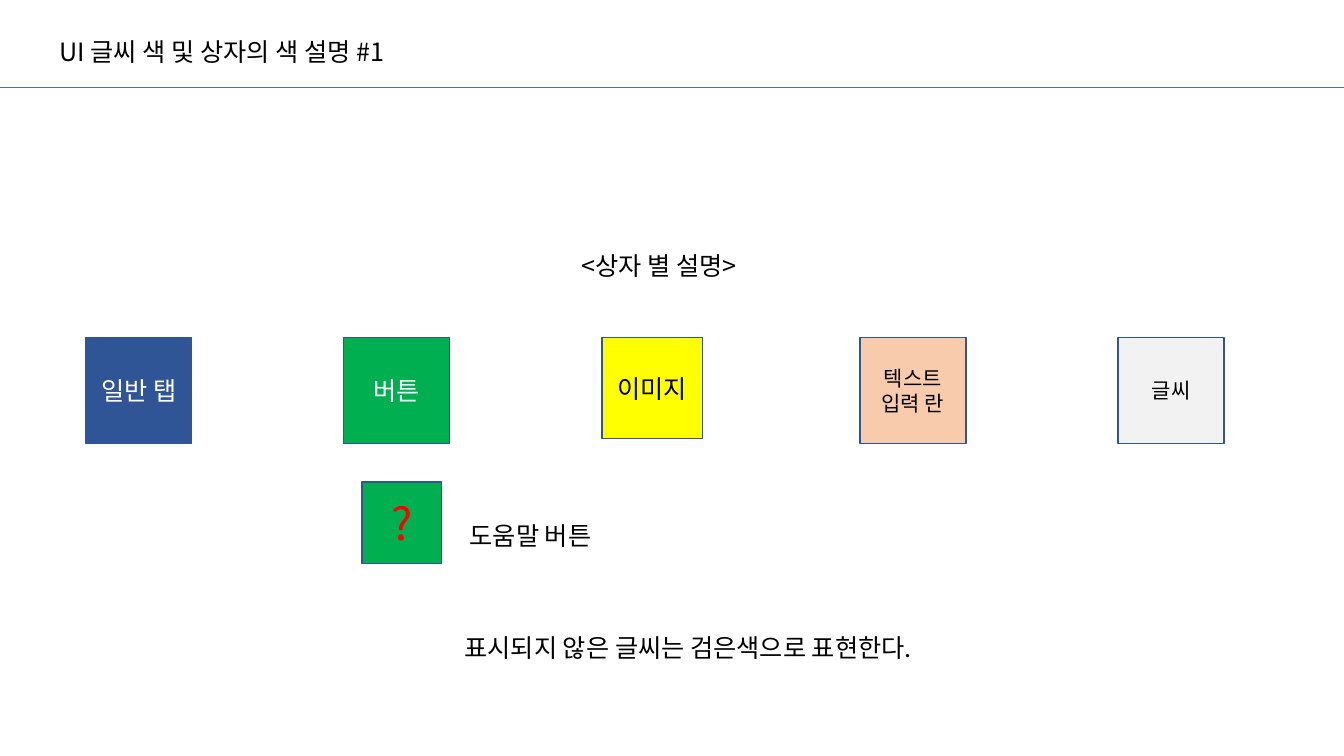
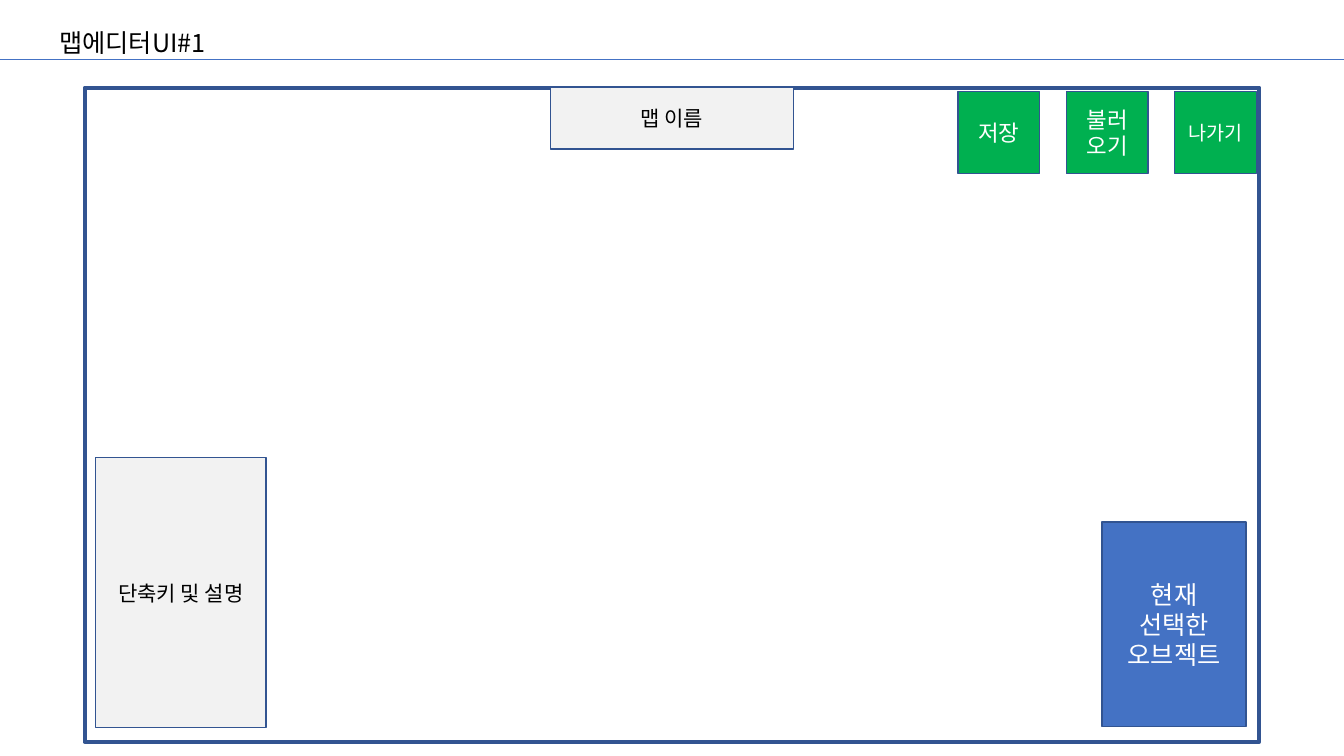
"""Build two UI guide slides: the box colour legend and the map editor layout."""
from dataclasses import dataclass

from lxml import etree
from pptx import Presentation
from pptx.dml.color import RGBColor
from pptx.enum.shapes import MSO_CONNECTOR, MSO_SHAPE
from pptx.enum.text import MSO_ANCHOR, MSO_AUTO_SIZE, PP_ALIGN
from pptx.oxml.ns import qn
from pptx.slide import Slide
from pptx.text.text import TextFrame
from pptx.util import Inches, Pt

RECT = MSO_SHAPE.RECTANGLE
STRAIGHT = MSO_CONNECTOR.STRAIGHT
MIDDLE = MSO_ANCHOR.MIDDLE
FIT = MSO_AUTO_SIZE.SHAPE_TO_FIT_TEXT
LEFT, CENTER = PP_ALIGN.LEFT, PP_ALIGN.CENTER

FONT = "Noto Sans CJK KR"
WIDTH, HEIGHT = 13.33, 7.5
COLORS = {
    "text": "000000",
    "white": "FFFFFF",
    "rule": "4472C4",
    "border": "325491",
    "tab": "2F5597",
    "button": "00B050",
    "image": "FFFF00",
    "input": "F8CBAD",
    "label": "F2F2F2",
    "object": "4472C4",
    "help": "FF0000",
}


@dataclass
class Box:
    x: float
    y: float
    w: float
    h: float
    fill: str
    text: str = ""
    size: float = 18
    color: str = "text"
    border: float = 1


@dataclass
class Caption:
    x: float
    y: float
    w: float
    text: str


def rgb(name: str) -> RGBColor:
    return RGBColor.from_string(COLORS[name])


def write(tf: TextFrame, text: str, size: float, color: str, align: PP_ALIGN) -> None:
    tf.text = text
    font_format = {"name": FONT, "size": Pt(size)}
    for p in tf.paragraphs:
        p.alignment = align
        for r in p.runs:
            for key, value in font_format.items():
                setattr(r.font, key, value)
            r.font.color.rgb = rgb(color)
            ea = etree.SubElement(r.font._element, qn("a:ea"))
            ea.set("typeface", FONT)


def draw_box(s: Slide, box: Box) -> None:
    sp = s.shapes.add_shape(RECT, *map(Inches, (box.x, box.y, box.w, box.h)))
    sp.shadow.inherit = False
    sp.fill.solid()
    sp.fill.fore_color.rgb = rgb(box.fill)
    sp.line.color.rgb = rgb("border")
    sp.line.width = Pt(box.border)
    if box.text:
        sp.text_frame.vertical_anchor = MIDDLE
        write(sp.text_frame, box.text, box.size, box.color, CENTER)


def draw_caption(s: Slide, caption: Caption) -> None:
    sp = s.shapes.add_textbox(*map(Inches, (caption.x, caption.y, caption.w, 0.4)))
    tf_format = {"word_wrap": False, "auto_size": FIT}
    for key, value in tf_format.items():
        setattr(sp.text_frame, key, value)
    write(sp.text_frame, caption.text, 18, "text", LEFT)


def draw_rule(s: Slide, y: float) -> None:
    line = s.shapes.add_connector(STRAIGHT, 0, Inches(y), Inches(WIDTH), Inches(y))
    line.line.color.rgb = rgb("rule")
    line.line.width = Pt(0.5)
    etree.SubElement(line._element.spPr, qn("a:effectLst"))


def add_slide(prs: Presentation, rule_y: float, boxes: list[Box],
              captions: list[Caption]) -> None:
    s = prs.slides.add_slide(prs.slide_layouts[6])
    draw_rule(s, rule_y)
    for box in boxes:
        draw_box(s, box)
    for caption in captions:
        draw_caption(s, caption)


LEGEND = [
    ("tab", "일반 탭", 18, "white", 1.05),
    ("button", "버튼", 18, "white", 1.05),
    ("image", "이미지", 18, "text", 1),
    ("input", "텍스트\v입력 란", 15, "text", 1.05),
    ("label", "글씨", 15, "text", 1.05),
]
legend_boxes = [
    Box(0.85 + 2.56 * i, 3.35, side, side, fill, text, size, color)
    for i, (fill, text, size, color, side) in enumerate(LEGEND)
]
help_box = Box(3.59, 4.78, 0.79, 0.81, "button", "?", 32, "help")
legend_captions = [
    Caption(0.49, 0.31, 3.98, "UI 글씨 색 및 상자의 색 설명 #1"),
    Caption(5.67, 2.43, 2, "<상자 별 설명>"),
    Caption(4.56, 5.11, 1.55, "도움말 버튼"),
    Caption(4.51, 6.22, 5.16, "표시되지 않은 글씨는 검은색으로 표현한다."),
]

BUTTONS = [("저장", 16), ("불러\n오기", 16), ("나가기", 14)]
editor_boxes = [
    Box(0.84, 0.87, 11.65, 6.49, "white", border=3),
    Box(5.46, 0.87, 2.41, 0.61, "label", "맵 이름", 15),
    *(Box(9.5 + 1.075 * i, 0.91, 0.81, 0.81, "button", text, size, "white")
      for i, (text, size) in enumerate(BUTTONS)),
    Box(10.93, 5.18, 1.43, 2.03, "object", "현재\n선택한\n오브젝트", 18, "white"),
    Box(0.95, 4.54, 1.69, 2.68, "label", "단축키 및 설명", 15),
]
editor_captions = [Caption(0.49, 0.22, 1.75, "맵에디터UI#1")]

prs = Presentation()
prs.slide_width, prs.slide_height = Inches(WIDTH), Inches(HEIGHT)
add_slide(prs, 0.87, [*legend_boxes, help_box], legend_captions)
add_slide(prs, 0.59, editor_boxes, editor_captions)
prs.save("out.pptx")
